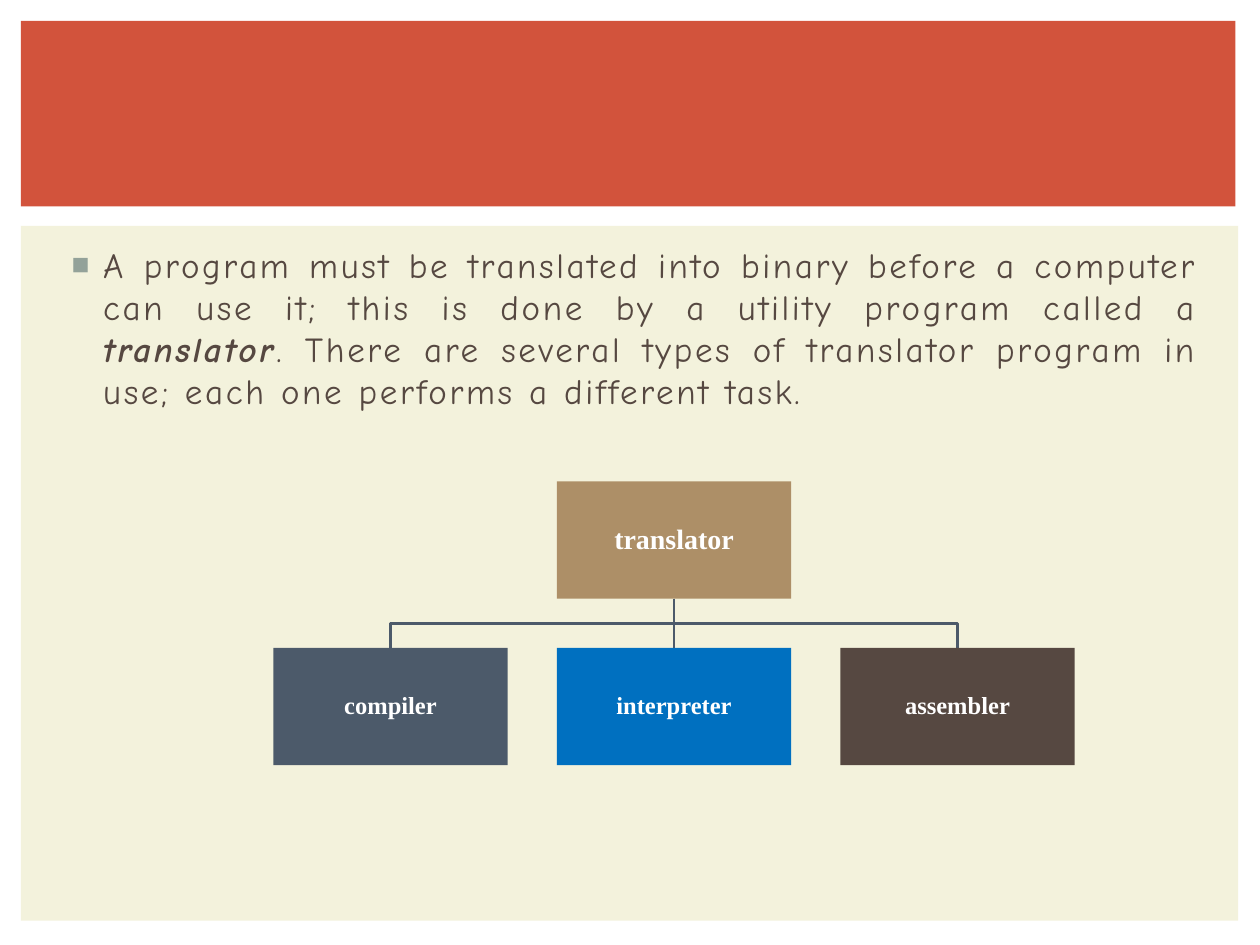
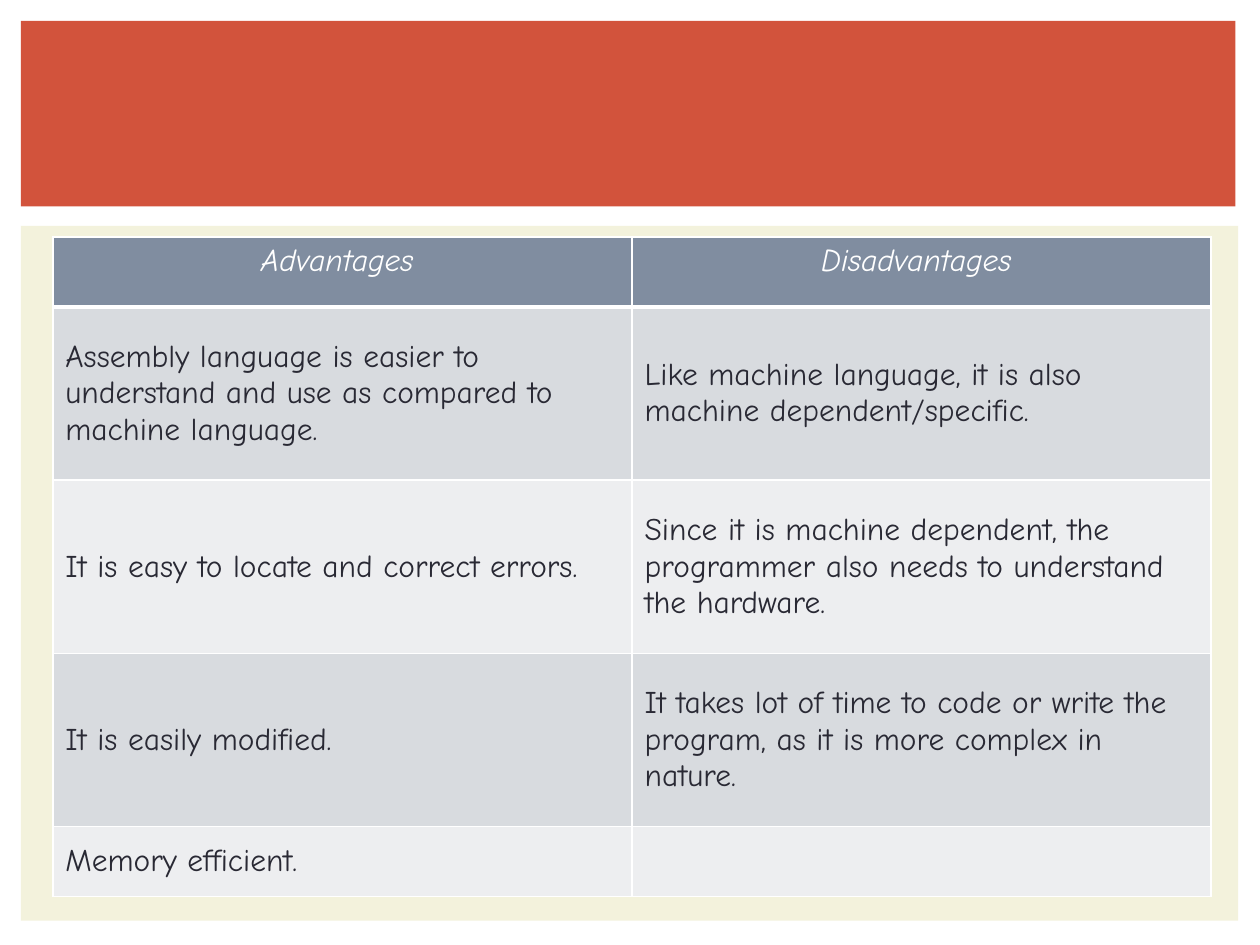
"""Build two slides on translator programs and assembly language."""
from dataclasses import dataclass
from typing import Any

import lxml.etree
import pptx
import pptx.dml.color
import pptx.enum.shapes
import pptx.enum.text
import pptx.oxml.ns
import pptx.util

Pt = pptx.util.Pt
qn = pptx.oxml.ns.qn
RECT = pptx.enum.shapes.MSO_SHAPE.RECTANGLE
ALIGN = pptx.enum.text.PP_ALIGN
MIDDLE = pptx.enum.text.MSO_ANCHOR.MIDDLE

BODY_FONT = "Comic Neue"
BOX_FONT = "Times New Roman"
WHITE = "FFFFFF"
CREAM = "F3F2DC"
RED = "D2533C"
BROWN = "564841"
SLATE = "4C5A6A"
BULLET = "93A299"
HEADER = "808DA0"
INK = "292934"
STRIPES = ("D8DBDF", "EDEEF0")

BOX_W, BOX_H = 133.9, 67
CENTER_X, PITCH = 385.2, 162
ROOT_Y, CHILD_Y = 275.1, 370.3


@dataclass
class Box:
    """A filled rectangle, with lengths in points."""
    left: float
    top: float
    width: float
    height: float
    color: str
    text: str = ""
    size: float = 14


BANDS = [Box(12, 129, 695.5, 397.1, CREAM), Box(12, 12, 694, 106, RED)]
ROOT = Box(CENTER_X - BOX_W / 2, ROOT_Y, BOX_W, BOX_H, "AD8F67", "translator", 16)
CHILDREN = [
    Box(ROOT.left + (i - 1) * PITCH, CHILD_Y, BOX_W, BOX_H, color, text)
    for i, (text, color) in enumerate(
        [("compiler", SLATE), ("interpreter", "0070C0"), ("assembler", BROWN)])
]
SENTENCE = [
    ("A program must be translated into binary before a computer can use it; "
     "this is done by a utility program called a ", False),
    ("translator", True),
    (". There are several types of translator program in use; "
     "each one performs a different task.", False),
]
ROWS = [
    ("Advantages ", "Disadvantages "),
    ("Assembly language is easier to understand and use as compared to machine language.",
     "Like machine language, it is also machine dependent/specific."),
    ("It is easy to locate and correct errors.",
     "Since it is machine dependent, the programmer also needs to understand the hardware."),
    ("It is easily modified.",
     "It takes lot of time to code or write the program, as it is more complex in nature."),
    ("Memory efficient.", ""),
]
ROW_HEIGHTS = (40, 99, 99, 99, 40)


def rgb(color: str) -> pptx.dml.color.RGBColor:
    """Turn a hex string into a colour."""
    return pptx.dml.color.RGBColor.from_string(color)


def assign(target: Any, values: dict[str, Any]) -> None:
    """Set attributes from a dict of format values."""
    for name, value in values.items():
        setattr(target, name, value)


def paint(fill: Any, color: str) -> None:
    """Give a fill one solid colour."""
    fill.solid()
    fill.fore_color.rgb = rgb(color)


def add_run(p: Any, text: str, color: str, **font: Any) -> Any:
    """Add a formatted run to a paragraph."""
    r = p.add_run()
    r.text = text
    assign(r.font, font)
    r.font.color.rgb = rgb(color)
    return r


def add_box(s: Any, box: Box) -> Any:
    """Draw a box with its centred label, if it has one."""
    sp = s.shapes.add_shape(RECT, *map(Pt, (box.left, box.top, box.width, box.height)))
    sp.shadow.inherit = False
    paint(sp.fill, box.color)
    sp.line.fill.background()
    if box.text:
        tf = sp.text_frame
        inset = Pt(0.7)
        assign(tf, dict(word_wrap=True, vertical_anchor=MIDDLE, margin_left=inset,
                        margin_right=inset, margin_top=inset, margin_bottom=inset))
        p = tf.paragraphs[0]
        assign(p, dict(alignment=ALIGN.CENTER, line_spacing=0.9))
        add_run(p, box.text, WHITE, name=BOX_FONT, size=Pt(box.size), bold=True)
    return sp


def add_bands(prs: Any, s: Any) -> None:
    """Place the shared bands on the slide master, behind everything."""
    for i, band in enumerate(BANDS):
        element = add_box(s, band).element
        element.nvSpPr.cNvPr.set("id", str(101 + i))
        prs.slide_master.shapes.element.insert(2 + i, element)


def add_branch(s: Any, child: Box) -> None:
    """Draw the line from the root box to a child box."""
    x, top, bottom = child.left + BOX_W / 2, ROOT_Y + BOX_H, CHILD_Y
    if abs(x - CENTER_X) < 1:
        straight = pptx.enum.shapes.MSO_CONNECTOR.STRAIGHT
        sp = s.shapes.add_connector(straight, *map(Pt, (CENTER_X, top, CENTER_X, bottom)))
        lxml.etree.SubElement(sp.element.spPr, qn("a:effectLst"))
    else:
        bend = (top + bottom) / 2
        builder = s.shapes.build_freeform(Pt(CENTER_X), Pt(top))
        corners = [(CENTER_X, bend), (x, bend), (x, bottom)]
        builder.add_line_segments([(Pt(a), Pt(b)) for a, b in corners], close=False)
        sp = builder.convert_to_shape()
        sp.shadow.inherit = False
        sp.fill.background()
    sp.line.color.rgb = rgb(SLATE)
    sp.line.width = Pt(1.5)


def add_bullet(p: Any) -> None:
    """Give a paragraph a coloured square bullet and a hanging indent."""
    pPr = p._p.get_or_add_pPr()
    pPr.set("marL", str(Pt(21.6)))
    pPr.set("indent", str(-Pt(18)))
    color = lxml.etree.SubElement(pPr, qn("a:buClr"))
    lxml.etree.SubElement(color, qn("a:srgbClr"), val=BULLET)
    lxml.etree.SubElement(pPr, qn("a:buSzPct"), val="85000")
    lxml.etree.SubElement(pPr, qn("a:buFont"), typeface="Arial")
    lxml.etree.SubElement(pPr, qn("a:buChar"), char="■")


def add_borders(cell: Any, bottom: float) -> None:
    """Draw white borders round a table cell."""
    tcPr = cell._tc.get_or_add_tcPr()
    for side, width in dict(L=1, R=1, T=1, B=bottom).items():
        ln = lxml.etree.SubElement(tcPr, qn(f"a:ln{side}"), w=str(Pt(width)))
        fill = lxml.etree.SubElement(ln, qn("a:solidFill"))
        lxml.etree.SubElement(fill, qn("a:srgbClr"), val=WHITE)


def build_translators(s: Any) -> None:
    """Fill the slide with the definition and the tree of translators."""
    title, body = s.shapes.title, s.placeholders[1]
    title.element.getparent().remove(title.element)
    assign(body, dict(left=Pt(30.2), top=Pt(135.4), width=Pt(661.7), height=Pt(347)))
    body.text_frame.auto_size = pptx.enum.text.MSO_AUTO_SIZE.NONE
    p = body.text_frame.paragraphs[0]
    p.alignment = ALIGN.JUSTIFY
    add_bullet(p)
    for text, strong in SENTENCE:
        r = add_run(p, text, BROWN, name=BODY_FONT, size=Pt(20), bold=strong, italic=strong)
        r.font._element.set("spc", "150")
    for child in CHILDREN:
        add_branch(s, child)
    for box in [ROOT, *CHILDREN]:
        add_box(s, box)


def build_comparison(s: Any) -> None:
    """Fill the slide with the table of advantages and disadvantages."""
    frame = s.shapes.add_table(len(ROWS), 2, Pt(30.2), Pt(135.4), Pt(662), Pt(sum(ROW_HEIGHTS)))
    table = frame.table
    for i, (row, height) in enumerate(zip(ROWS, ROW_HEIGHTS)):
        table.rows[i].height = Pt(height)
        head = i == 0
        for j, text in enumerate(row):
            cell = table.cell(i, j)
            add_borders(cell, 3 if head else 1)
            paint(cell.fill, HEADER if head else STRIPES[(i - 1) % 2])
            p = cell.text_frame.paragraphs[0]
            if head:
                p.alignment = ALIGN.CENTER
            else:
                cell.vertical_anchor = MIDDLE
            if text:
                add_run(p, text, WHITE if head else INK, name=BODY_FONT, size=Pt(18),
                        bold=False, italic=head)


def main() -> None:
    """Build and save the presentation."""
    prs = pptx.Presentation()
    assign(prs, dict(slide_width=Pt(720), slide_height=Pt(540)))
    s = prs.slides.add_slide(prs.slide_layouts[1])
    add_bands(prs, s)
    build_translators(s)
    build_comparison(prs.slides.add_slide(prs.slide_layouts[6]))
    prs.save("out.pptx")


main()
